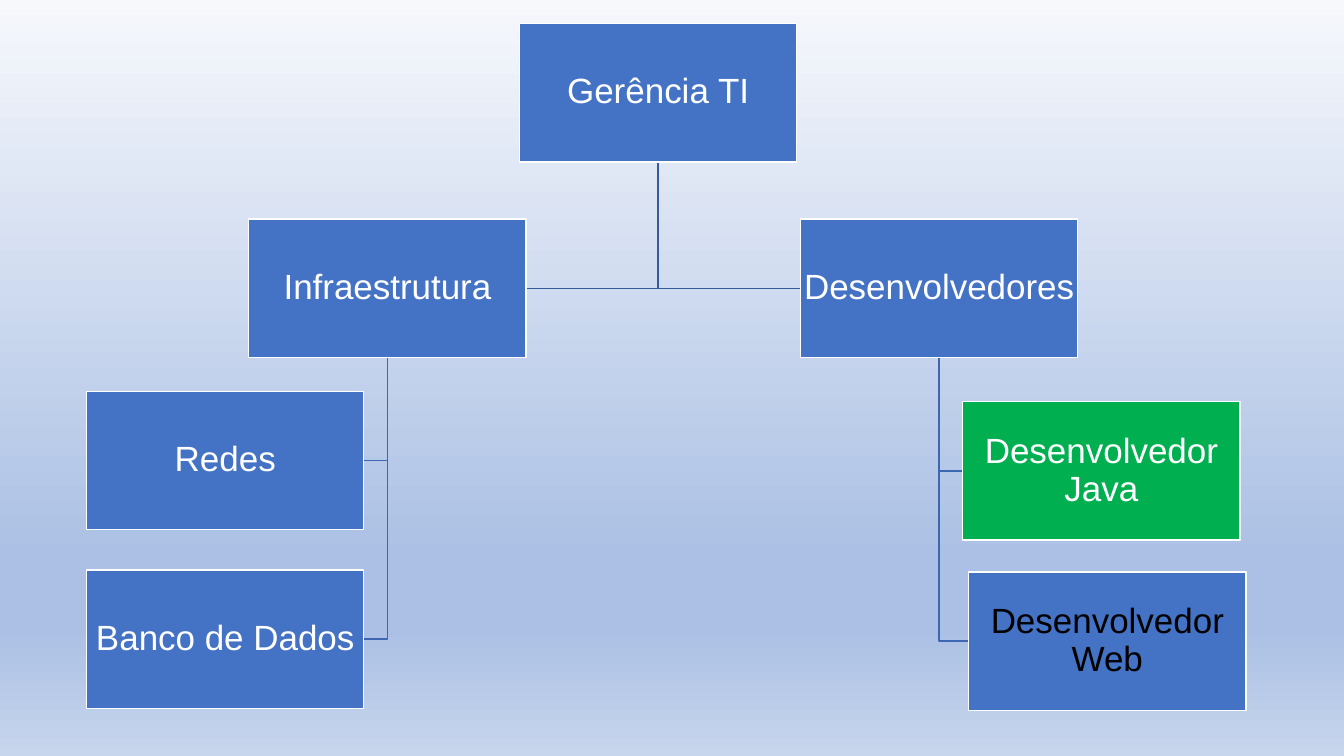
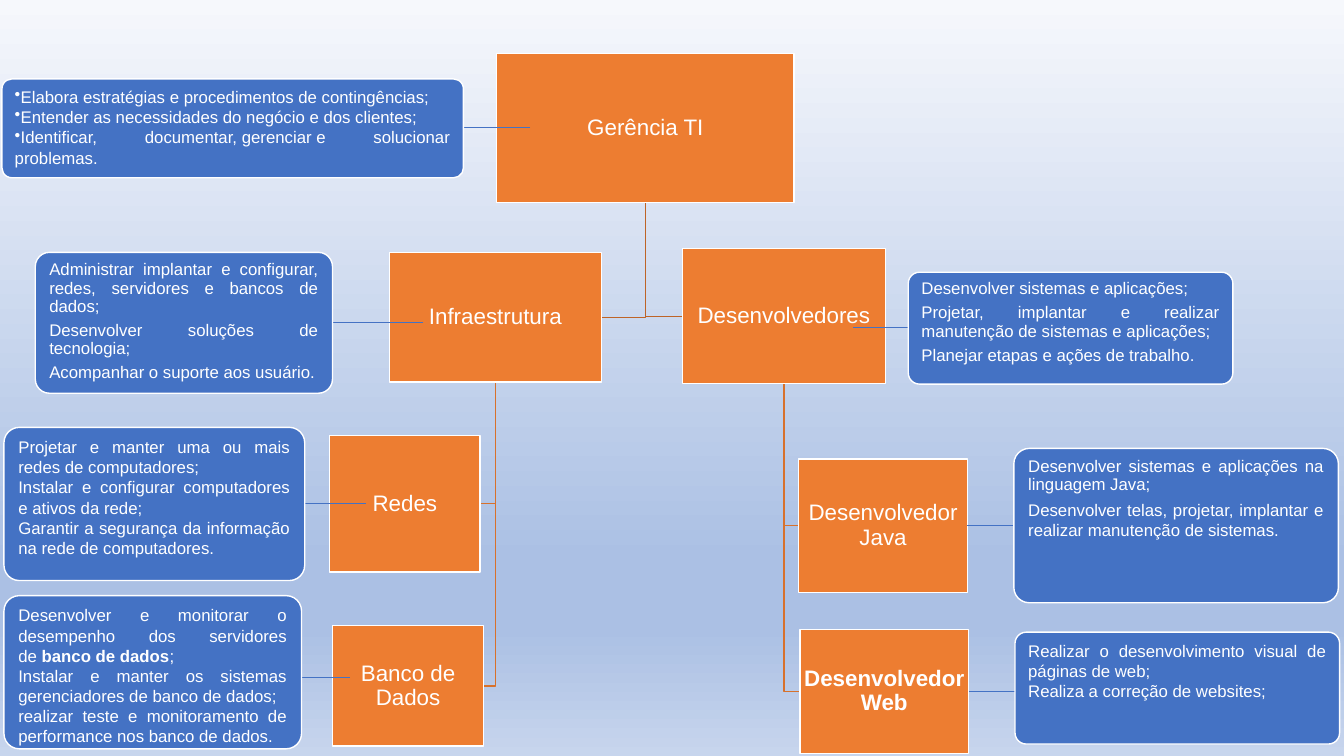
from dataclasses import dataclass

from lxml.etree import SubElement
from pptx import Presentation
from pptx.dml.color import RGBColor
from pptx.enum.shapes import MSO_CONNECTOR, MSO_SHAPE
from pptx.enum.text import MSO_ANCHOR, PP_ALIGN
from pptx.oxml.ns import qn
from pptx.util import Cm, Pt

COLORS = {
    "blue": "4472C4", "orange": "ED7D31", "green": "00B050",
    "white": "FFFFFF", "black": "000000",
    "blue_trunk": "365B9D", "blue_branch": "3E67B2",
    "orange_trunk": "BE6427", "orange_branch": "D7712C",
}
BACKGROUND_STOPS = [(0, "F6F8FC"), (74, "ABC0E4"), (83, "ABC0E4"), (100, "C7D5ED")]
FONT = "Arial"
TIGHT_LINES = 0.9
TIGHT_GAP = 0.35


@dataclass
class Box:
    """A rectangle measured in centimetres."""
    left: float
    top: float
    width: float
    height: float

    @property
    def right(self):
        return self.left + self.width

    @property
    def bottom(self):
        return self.top + self.height

    @property
    def center(self):
        return self.left + self.width / 2

    @property
    def middle(self):
        return self.top + self.height / 2


@dataclass
class Role:
    """A box of the organisation chart and the role it reports to."""
    name: str
    box: Box
    parent: str = ""
    fill: str = ""
    color: str = "white"
    bold: bool = False


@dataclass
class Duties:
    """A callout with its lead line and paragraphs, each a list of runs."""
    box: Box
    lead: tuple  # start, end, height
    paragraphs: list
    tight: int = 0
    bullets: bool = False


def rgb(name):
    """Return the named colour."""
    return RGBColor.from_string(COLORS[name])


def set_background(background):
    """Fill a background with the vertical gradient."""
    background.fill.gradient()
    gradient = background.fill._fill._gradFill
    for child in list(gradient):
        gradient.remove(child)
    stops = SubElement(gradient, qn("a:gsLst"))
    for position, color in BACKGROUND_STOPS:
        stop = SubElement(stops, qn("a:gs"), pos=str(position * 1000))
        SubElement(stop, qn("a:srgbClr"), val=color)
    SubElement(gradient, qn("a:lin"), ang="5400000", scaled="0")


def add_box(slide, kind, box, fill):
    """Add a filled shape with a white outline and return it."""
    shape = slide.shapes.add_shape(
        kind, Cm(box.left), Cm(box.top), Cm(box.width), Cm(box.height))
    shape.shadow.inherit = False
    shape.fill.solid()
    shape.fill.fore_color.rgb = rgb(fill)
    shape.line.color.rgb = rgb("white")
    shape.line.width = Pt(1)
    shape.text_frame.word_wrap = True
    return shape


def add_run(paragraph, text, size, color="white", bold=False):
    """Append one formatted run."""
    run = paragraph.add_run()
    run.text = text
    run.font.name = FONT
    run.font.size = Pt(size)
    run.font.bold = bold
    run.font.color.rgb = rgb(color)


def tighten(paragraph, size):
    """Use close lines and a gap after the paragraph."""
    paragraph.line_spacing = TIGHT_LINES
    paragraph.space_after = Pt(TIGHT_GAP * size)


def add_elbow(slide, parent, child, color):
    """Draw a line from below the parent to the near side of the child."""
    side = child.right if child.center < parent.center else child.left
    builder = slide.shapes.build_freeform(Cm(parent.center), Cm(parent.bottom))
    builder.add_line_segments(
        [(Cm(parent.center), Cm(child.middle)), (Cm(side), Cm(child.middle))],
        close=False)
    elbow = builder.convert_to_shape()
    elbow.shadow.inherit = False
    elbow.fill.background()
    elbow.line.color.rgb = rgb(color)
    elbow.line.width = Pt(1)


def add_role(slide, role, fill, size, inset):
    """Draw one role with its centred name."""
    shape = add_box(slide, MSO_SHAPE.RECTANGLE, role.box, role.fill or fill)
    frame = shape.text_frame
    frame.margin_left = frame.margin_right = Cm(inset)
    frame.margin_top = frame.margin_bottom = Cm(inset)
    frame.vertical_anchor = MSO_ANCHOR.MIDDLE
    paragraph = frame.paragraphs[0]
    paragraph.alignment = PP_ALIGN.CENTER
    tighten(paragraph, size)
    add_run(paragraph, role.name, size, role.color, role.bold)


def add_organisation(slide, roles, fill, size, inset):
    """Draw the elbows of the chart, then its roles on top."""
    by_name = {role.name: role for role in roles}
    for role in roles:
        if role.parent:
            parent = by_name[role.parent]
            level = "branch" if parent.parent else "trunk"
            add_elbow(slide, parent.box, role.box, f"{fill}_{level}")
    for role in roles:
        add_role(slide, role, fill, size, inset)


def add_lead(slide, start, end, height):
    """Draw the thin line between a role and its duties."""
    lead = slide.shapes.add_connector(
        MSO_CONNECTOR.STRAIGHT, Cm(start), Cm(height), Cm(end), Cm(height))
    lead.line.color.rgb = rgb("blue")
    lead.line.width = Pt(0.5)
    SubElement(lead._element.spPr, qn("a:effectLst"))


def add_duties(slide, duties, size=12):
    """Draw a rounded callout with justified paragraphs."""
    shape = add_box(slide, MSO_SHAPE.ROUNDED_RECTANGLE, duties.box, "blue")
    shape.adjustments[0] = 0.1
    frame = shape.text_frame
    frame.vertical_anchor = MSO_ANCHOR.TOP
    for index, runs in enumerate(duties.paragraphs):
        paragraph = frame.add_paragraph() if index else frame.paragraphs[0]
        paragraph.alignment = PP_ALIGN.JUSTIFY
        if index < duties.tight:
            tighten(paragraph, size)
        if duties.bullets:
            SubElement(paragraph._p.get_or_add_pPr(), qn("a:buChar"), char="•")
        for position, text in enumerate(runs):
            add_run(paragraph, text, size, bold=position == 1)


def build_structure(slide):
    """Build the plain organisation chart."""
    def place(left, top):
        return Box(left, top, 6.99, 3.49)

    add_organisation(slide, [
        Role("Gerência TI", place(13.09, 0.59)),
        Role("Infraestrutura", place(6.27, 5.52), "Gerência TI"),
        Role("Redes", place(2.18, 9.86), "Infraestrutura"),
        Role("Banco de Dados", place(2.18, 14.36), "Infraestrutura"),
        Role("Desenvolvedores", place(20.17, 5.52), "Gerência TI"),
        Role("Desenvolvedor Java", place(24.26, 10.12), "Desenvolvedores",
             fill="green"),
        Role("Desenvolvedor Web", place(24.41, 14.41), "Desenvolvedores",
             color="black"),
    ], "blue", 25, 0.04)


def build_responsibilities(slide):
    """Build the organisation chart with the duties of each role."""
    add_organisation(slide, [
        Role("Gerência TI", Box(12.52, 1.35, 7.49, 3.75)),
        Role("Infraestrutura", Box(9.81, 6.36, 5.35, 3.27), "Gerência TI"),
        Role("Redes", Box(8.31, 10.97, 3.79, 3.45), "Infraestrutura"),
        Role("Banco de Dados", Box(8.38, 15.77, 3.81, 3.03), "Infraestrutura"),
        Role("Desenvolvedores", Box(17.2, 6.27, 5.11, 3.4), "Gerência TI"),
        Role("Desenvolvedor Java", Box(20.12, 11.57, 4.27, 3.36),
             "Desenvolvedores"),
        Role("Desenvolvedor Web", Box(20.16, 15.87, 4.25, 3.12),
             "Desenvolvedores", bold=True),
    ], "orange", 16, 0.03)

    callouts = [
        Duties(Box(0.05, 1.99, 11.63, 2.49), (13.36, 11.68, 3.2), [
            ["Elabora estratégias e procedimentos de\u00a0contingências;"],
            ["Entender as necessidades do negócio e dos clientes;"],
            ["Identificar, documentar,\u00a0gerenciar\u00a0e solucionar problemas."],
        ], bullets=True),
        Duties(Box(0.89, 6.36, 7.49, 3.55), (10.67, 8.38, 8.13), [
            ["Administrar implantar e configurar, redes, servidores e bancos "
             "de dados;"],
            ["Desenvolver soluções de tecnologia;"],
            ["Acompanhar o suporte aos usuário."],
        ], tight=3),
        Duties(Box(22.89, 6.86, 8.18, 2.82), (22.89, 21.49, 8.26), [
            ["Desenvolver sistemas e aplicações;"],
            ["Projetar, implantar e realizar manutenção de sistemas e "
             "aplicações;"],
            ["Planejar etapas e ações de trabalho."],
        ], tight=3),
        Duties(Box(25.55, 11.3, 8.18, 3.89), (25.65, 24.38, 13.24), [
            ["Desenvolver sistemas e aplicações na linguagem Java;"],
            ["Desenvolver telas, projetar, implantar e realizar manutenção "
             "de sistemas."],
        ], tight=1),
        Duties(Box(25.58, 15.93, 8.18, 2.82), (25.68, 24.41, 17.41), [
            ["Realizar o desenvolvimento visual de páginas de web;"],
            ["Realiza a correção de websites;"],
        ]),
        Duties(Box(0.1, 10.77, 7.58, 3.86), (9.22, 7.54, 12.69), [
            ["Projetar e manter uma ou mais redes de computadores;"],
            ["Instalar e configurar computadores e ativos da rede;"],
            ["Garantir a segurança da informação na rede de computadores."],
        ]),
        Duties(Box(0.1, 15.01, 7.5, 3.86), (8.81, 7.14, 17.07), [
            ["Desenvolver e monitorar o desempenho dos servidores de\u00a0",
             "banco de dados", ";"],
            ["Instalar e manter os sistemas gerenciadores de banco de dados;"],
            ["realizar teste e monitoramento de performance nos banco de "
             "dados."],
        ]),
    ]
    for duties in callouts:
        add_lead(slide, *duties.lead)
        add_duties(slide, duties)


def main():
    """Build and save the presentation."""
    presentation = Presentation()
    presentation.slide_width = Cm(33.87)
    presentation.slide_height = Cm(19.05)
    set_background(presentation.slide_master.background)
    blank_layout = presentation.slide_layouts.get_by_name("Blank")
    for build in (build_structure, build_responsibilities):
        build(presentation.slides.add_slide(blank_layout))
    presentation.save("out.pptx")


main()
